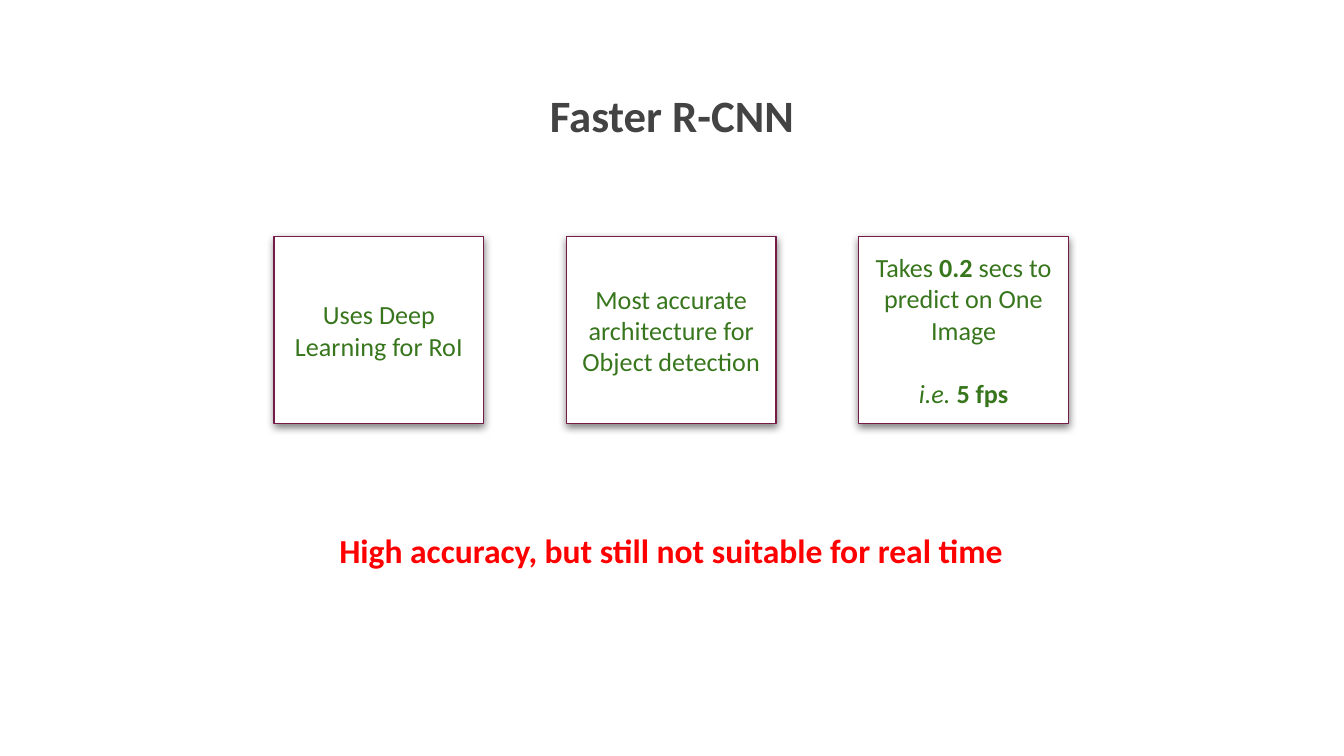
from lxml.etree import SubElement
from pptx import Presentation
from pptx.dml.color import RGBColor
from pptx.enum.shapes import MSO_SHAPE as Shape
from pptx.enum.text import MSO_ANCHOR as Anchor, MSO_AUTO_SIZE as AutoSize, PP_ALIGN as Align
from pptx.oxml.ns import qn
from pptx.util import Inches, Pt

FONT = "Calibri"
GREEN, PURPLE, RED, GREY, WHITE = "38761D", "741B47", "FF0000", "434343", "FFFFFF"

SLIDE_W = 10
SLIDE_H = SLIDE_W * 9 / 16
ROW_W = 5.91
LEFT, CARD_TOP = 2.04, 1.76
CARD_W, CARD_H = 1.56, 1.39
BLANK_LINE = 17

# Each card holds paragraphs, each paragraph holds (text, style) runs.
CARDS = [
    [[("Uses Deep Learning for RoI", "")]],
    [[("Most accurate architecture for Object detection", "")]],
    [
        [("Takes ", ""), ("0.2", "b"), (" secs to predict on One Image", "")],
        [("i.e. ", "i"), ("5 fps", "b")],
    ],
]
COLUMN_STEP = (ROW_W - CARD_W) / (len(CARDS) - 1)


def color(hex_code):
    return RGBColor.from_string(hex_code)


def place(sp, left, top, width, height):
    sp.left, sp.top = Inches(left), Inches(top)
    sp.width, sp.height = Inches(width), Inches(height)


def write(sp, paragraphs, size, hex_code):
    """Fill a shape with centred paragraphs, one line apart."""
    tf = sp.text_frame
    tf.word_wrap = True
    tf.auto_size = AutoSize.NONE
    tf.vertical_anchor = Anchor.MIDDLE
    tf.margin_left = tf.margin_right = tf.margin_top = tf.margin_bottom = Inches(0.1)
    for i, runs in enumerate(paragraphs):
        p = tf.add_paragraph() if i else tf.paragraphs[0]
        p.alignment = Align.CENTER
        p.space_before = Pt(BLANK_LINE if i else 0)
        for text, style in runs:
            r = p.add_run()
            r.text = text
            r.font.name = FONT
            r.font.size = Pt(size)
            r.font.bold = "b" in style
            r.font.italic = "i" in style
            r.font.color.rgb = color(hex_code)


def add_soft_shadow(sp):
    sp.shadow.inherit = False
    effects = sp._element.spPr.find(qn("a:effectLst"))
    shadow = SubElement(effects, qn("a:outerShdw"), blurRad=str(Pt(4.5)),
                        dist=str(Pt(1.5)), dir="5400000", algn="bl", rotWithShape="0")
    black = SubElement(shadow, qn("a:srgbClr"), val="000000")
    SubElement(black, qn("a:alpha"), val="50000")


def add_card(slide, column, paragraphs):
    left = LEFT + column * COLUMN_STEP
    sp = slide.shapes.add_shape(Shape.RECTANGLE, Inches(left), Inches(CARD_TOP),
                                Inches(CARD_W), Inches(CARD_H))
    sp.fill.solid()
    sp.fill.fore_color.rgb = color(WHITE)
    sp.line.color.rgb = color(PURPLE)
    sp.line.width = Pt(0.75)
    add_soft_shadow(sp)
    write(sp, paragraphs, 14, GREEN)


def add_title(slide, text):
    title = slide.shapes.title
    place(title, 2.83, 0.62, 4.34, 0.47)
    write(title, [[(text, "b")]], 24, GREY)


def add_conclusion(slide, text):
    sp = slide.shapes.add_textbox(Inches(LEFT), Inches(3.69), Inches(ROW_W), Inches(0.81))
    write(sp, [[(text, "b")]], 18, RED)


def main():
    prs = Presentation()
    prs.slide_width, prs.slide_height = Inches(SLIDE_W), Inches(SLIDE_H)
    slide = prs.slides.add_slide(prs.slide_layouts.get_by_name("Title Only"))
    add_title(slide, "Faster R-CNN")
    for column, paragraphs in enumerate(CARDS):
        add_card(slide, column, paragraphs)
    add_conclusion(slide, "High accuracy, but still not suitable for real time")
    prs.save("out.pptx")


if __name__ == "__main__":
    main()
